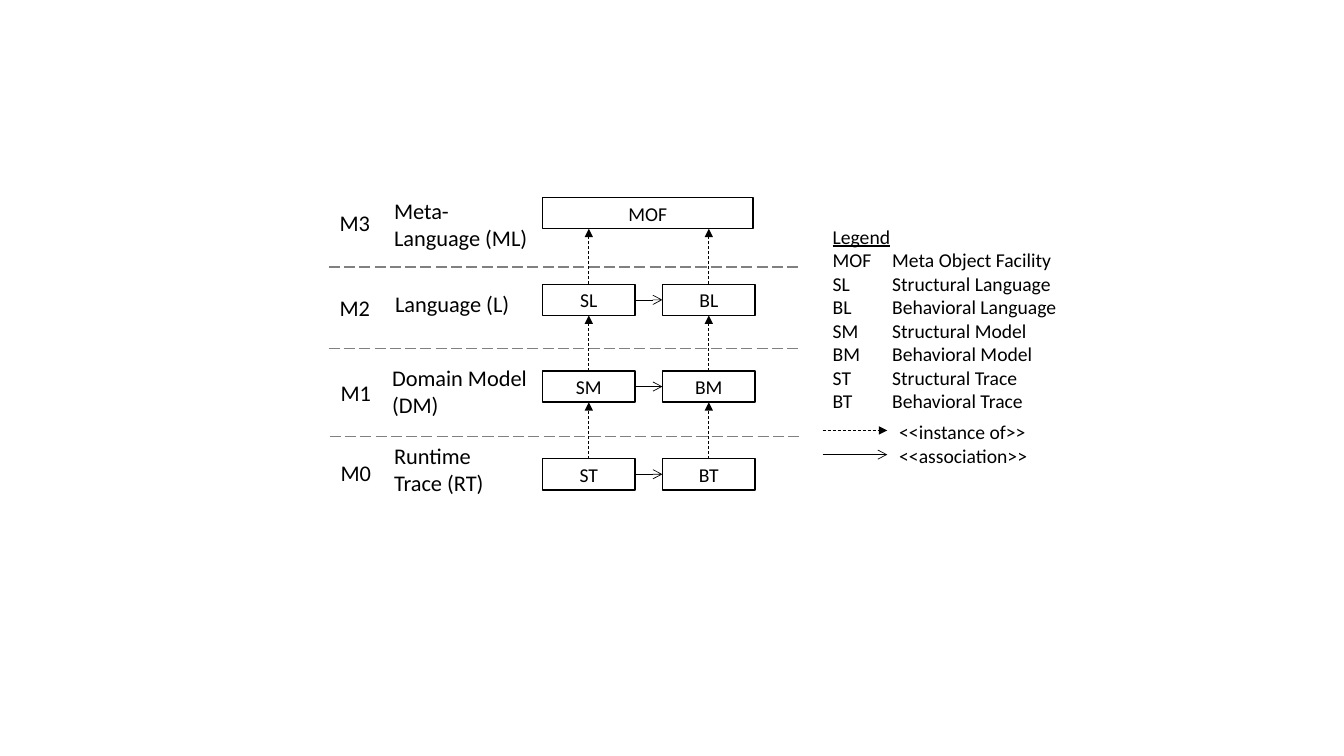
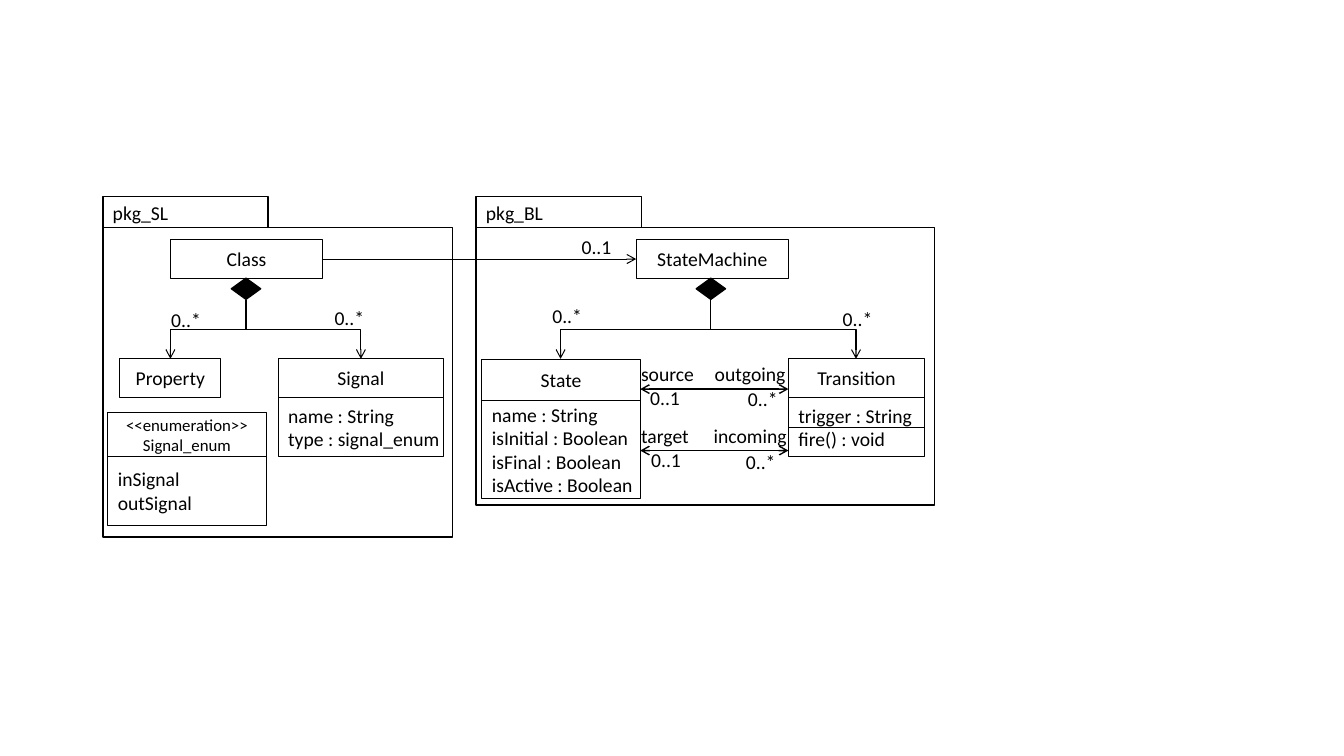
from dataclasses import dataclass
from typing import Optional

from pptx import Presentation
from pptx.dml.color import RGBColor
from pptx.enum.dml import MSO_LINE_DASH_STYLE as Dash
from pptx.enum.shapes import MSO_CONNECTOR_TYPE as Link, MSO_SHAPE as Shape
from pptx.enum.text import MSO_ANCHOR as Anchor, MSO_AUTO_SIZE as Fit, PP_ALIGN as Align
from pptx.oxml.ns import qn
from pptx.slide import Slide
from pptx.util import Inches, Pt
from lxml.etree import SubElement


@dataclass(frozen=True)
class Theme:
    font: str = "Calibri"
    ink: RGBColor = RGBColor(0, 0, 0)
    paper: RGBColor = RGBColor(255, 255, 255)
    divider: RGBColor = RGBColor(128, 128, 128)
    level_size: float = 16
    text_size: float = 14
    small_size: float = 12
    hairline: float = 0.5
    thin: float = 0.75
    regular: float = 1


THEME = Theme()


@dataclass(frozen=True)
class Box:
    lines: tuple[str, ...]
    left: float
    top: float
    width: float
    height: float
    align: Align = Align.CENTER
    size: float = THEME.text_size
    weight: float = THEME.thin
    fill: Optional[RGBColor] = None
    wrap: bool = False
    kind: Shape = Shape.RECTANGLE


@dataclass(frozen=True)
class Label:
    lines: tuple[str, ...]
    left: float
    top: float
    width: float
    height: float = 0.34
    size: float = THEME.text_size
    wrap: bool = True


@dataclass(frozen=True)
class Line:
    start: tuple[float, float]
    end: tuple[float, float]
    weight: float = THEME.hairline
    color: RGBColor = THEME.ink
    dash: Optional[Dash] = None
    head: str = ""
    tail: str = ""


@dataclass(frozen=True)
class Level:
    code: str
    code_left: float
    code_top: float
    name: Label


@dataclass(frozen=True)
class Classifier:
    title: tuple[str, ...]
    members: tuple[str, ...]
    left: float
    top: float
    width: float
    title_height: float = 0.38
    body_height: float = 0.59
    title_size: float = THEME.text_size


@dataclass(frozen=True)
class Package:
    name: str
    left: float
    width: float
    height: float


@dataclass(frozen=True)
class Composition:
    owner: str
    owner_left: float
    center: float
    member_centers: tuple[float, float]


# Drawing functions
def write_text(frame, lines: tuple[str, ...], size: float, align: Align, wrap: bool) -> None:
    frame.word_wrap = wrap
    for index, line in enumerate(lines):
        para = frame.paragraphs[0] if index == 0 else frame.add_paragraph()
        para.alignment = align
        span = para.add_run()
        span.text = line
        span.font.name = THEME.font
        span.font.size = Pt(size)
        span.font.color.rgb = THEME.ink


def draw_box(page: Slide, box: Box) -> None:
    shape = page.shapes.add_shape(box.kind, Inches(box.left), Inches(box.top),
                                  Inches(box.width), Inches(box.height))
    shape.shadow.inherit = False
    if box.fill is None:
        shape.fill.background()
    else:
        shape.fill.solid()
        shape.fill.fore_color.rgb = box.fill
    shape.line.color.rgb = THEME.ink
    shape.line.width = Pt(box.weight)
    shape.text_frame.vertical_anchor = Anchor.MIDDLE
    write_text(shape.text_frame, box.lines, box.size, box.align, box.wrap)


def draw_label(page: Slide, label: Label):
    text = page.shapes.add_textbox(Inches(label.left), Inches(label.top),
                                   Inches(label.width), Inches(label.height))
    write_text(text.text_frame, label.lines, label.size, Align.LEFT, label.wrap)
    text.text_frame.auto_size = Fit.SHAPE_TO_FIT_TEXT
    return text.text_frame


def draw_line(page: Slide, line: Line, kind: Link = Link.STRAIGHT):
    connector = page.shapes.add_connector(kind, *map(Inches, line.start + line.end))
    connector.line.color.rgb = line.color
    connector.line.width = Pt(line.weight)
    if line.dash is not None:
        connector.line.dash_style = line.dash
    properties = connector._element.spPr
    outline = properties.find(qn("a:ln"))
    for tag, arrow in (("a:headEnd", line.head), ("a:tailEnd", line.tail)):
        if arrow:
            SubElement(outline, qn(tag), type=arrow)
    SubElement(properties, qn("a:effectLst"))
    return connector


def draw_elbow(page: Slide, start: tuple[float, float], end: tuple[float, float]) -> None:
    """Draw an arrow that leaves downwards, turns halfway and arrives downwards."""
    (x1, y1), (x2, y2) = start, end
    middle_x, middle_y = (x1 + x2) / 2, (y1 + y2) / 2
    half_width, half_height = (y2 - y1) / 2, abs(x2 - x1) / 2
    side = 1 if x2 < x1 else -1
    line = Line((middle_x - side * half_width, middle_y - half_height),
                (middle_x + side * half_width, middle_y + half_height),
                THEME.thin, tail="arrow")
    connector = draw_line(page, line, Link.ELBOW)
    frame = connector._element.spPr.find(qn("a:xfrm"))
    frame.set("rot", str((90 if side > 0 else 270) * 60000))


def draw_classifier(page: Slide, item: Classifier) -> None:
    draw_box(page, Box(item.title, item.left, item.top, item.width,
                       item.title_height, size=item.title_size))
    if item.members:
        draw_box(page, Box(item.members, item.left, item.top + item.title_height,
                           item.width, item.body_height, Align.LEFT))


def draw_package(page: Slide, package: Package) -> None:
    top, tab_width, tab_height = 1.95, 1.64, 0.31
    draw_box(page, Box((package.name,), package.left, top, tab_width, tab_height,
                       Align.LEFT, weight=THEME.regular, wrap=True))
    draw_box(page, Box((), package.left, top + tab_height, package.width,
                       package.height, weight=THEME.regular))


def draw_composition(page: Slide, item: Composition) -> None:
    draw_box(page, Box((item.owner,), item.owner_left, 2.38, 1.51, 0.38))
    diamond_width = 0.29
    draw_box(page, Box((), item.center - diamond_width / 2, 2.76, diamond_width, 0.21,
                       weight=THEME.regular, fill=THEME.ink, kind=Shape.DIAMOND))
    for member_center in item.member_centers:
        draw_elbow(page, (item.center, 2.98), (member_center, 3.56))


# Slide 1: modelling levels
LEVELS = (
    Level("M3", 3.27, 2.03, Label(("Meta-", "Language (ML)"), 3.81, 1.91, 1.64, 0.64, THEME.level_size)),
    Level("M2", 3.27, 2.87, Label(("Language (L)",), 3.82, 2.83, 1.54, 0.37, THEME.level_size)),
    Level("M1", 3.28, 3.71, Label(("Domain Model", "(DM)"), 3.79, 3.56, 1.56, 0.64, THEME.level_size)),
    Level("M0", 3.28, 4.51, Label(("Runtime", "Trace (RT)"), 3.81, 4.34, 1.38, 0.64, THEME.level_size)),
)
MODEL_ROWS = ((2.82, ("SL", "BL")), (3.68, ("SM", "BM")), (4.55, ("ST", "BT")))
MODEL_COLUMNS = (5.38, 6.57)
MODEL_WIDTH, MODEL_HEIGHT = 0.92, 0.31
DIVIDERS = ((3.26, 2.65), (3.26, 3.46), (3.27, 4.33))
LEGEND = (
    "Legend", "MOF\tMeta Object Facility", "SL\tStructural Language",
    "BL\tBehavioral Language", "SM\tStructural Model", "BM\tBehavioral Model",
    "ST\tStructural Trace", "BT\tBehavioral Trace",
)
RELATIONS = (
    ("<<instance of>>", 4.27, Dash.DASH, "triangle"),
    ("<<association>>", 4.51, None, "arrow"),
)


def draw_legend(page: Slide) -> None:
    frame = draw_label(page, Label(LEGEND, 8.16, 2.18, 2.98, 2))
    frame.paragraphs[0].runs[0].font.underline = True
    for para in frame.paragraphs:
        stops = SubElement(para._p.get_or_add_pPr(), qn("a:tabLst"))
        SubElement(stops, qn("a:tab"), pos=str(Inches(0.59)), algn="l")
    for name, y, dash, arrow in RELATIONS:
        draw_line(page, Line((8.16, y), (8.8, y), dash=dash, tail=arrow))
        draw_label(page, Label((name,), 8.82, y - 0.15, 1.95, wrap=False))


def build_levels(page: Slide) -> None:
    for level in LEVELS:
        draw_label(page, level.name)
        draw_label(page, Label((level.code,), level.code_left, level.code_top,
                               0.53, 0.37, THEME.level_size))
    for left, y in DIVIDERS:
        draw_line(page, Line((left, y), (left + 4.65, y), THEME.regular,
                             THEME.divider, Dash.LONG_DASH))
    # Boxes, with each row an instance of the row above
    above = 1.96
    draw_box(page, Box(("MOF",), MODEL_COLUMNS[0], above, 2.09, MODEL_HEIGHT,
                       weight=THEME.regular, fill=THEME.paper, wrap=True))
    for top, names in MODEL_ROWS:
        for left, name in zip(MODEL_COLUMNS, names):
            draw_box(page, Box((name,), left, top, MODEL_WIDTH, MODEL_HEIGHT,
                               weight=THEME.regular, fill=THEME.paper, wrap=True))
            center = left + MODEL_WIDTH / 2
            draw_line(page, Line((center, top), (center, above + MODEL_HEIGHT),
                                 dash=Dash.DASH, tail="triangle"))
        middle = top + MODEL_HEIGHT / 2
        draw_line(page, Line((MODEL_COLUMNS[0] + MODEL_WIDTH, middle),
                             (MODEL_COLUMNS[1], middle), tail="arrow"))
        above = top
    draw_legend(page)


# Slide 2: packages and their classes
PACKAGES = (Package("pkg_SL", 1.02, 3.47, 3.07), Package("pkg_BL", 4.72, 4.55, 2.75))
COMPOSITIONS = (
    Composition("Class", 1.69, 2.44, (1.69, 3.58)),
    Composition("StateMachine", 6.31, 7.05, (5.56, 8.49)),
)
CLASSIFIERS = (
    Classifier(("Property",), (), 1.19, 3.56, 1),
    Classifier(("Signal",), ("name : String", "type : signal_enum"), 2.76, 3.56, 1.64),
    Classifier(("<<enumeration>>", "Signal_enum"), ("inSignal", "outSignal"),
               1.07, 4.09, 1.57, 0.44, 0.68, THEME.small_size),
    Classifier(("State",), ("name : String", "isInitial : Boolean", "isFinal : Boolean",
                            "isActive : Boolean"), 4.78, 3.57, 1.57, 0.4, 0.98),
    Classifier(("Transition",), ("trigger : String", "fire() : void"), 7.82, 3.56, 1.35),
)
ASSOCIATIONS = (
    Line((3.2, 2.57), (6.31, 2.57), THEME.thin, tail="arrow"),
    Line((6.35, 3.86), (7.82, 3.86), THEME.regular, head="arrow", tail="arrow"),
    Line((6.35, 4.47), (7.82, 4.47), THEME.regular, head="arrow", tail="arrow"),
    Line((7.82, 4.24), (9.17, 4.24), THEME.thin),
)
ROLES = (("source", 6.26, 3.54, 0.73), ("outgoing", 6.99, 3.54, 0.92),
         ("target", 6.26, 4.16, 0.69), ("incoming", 6.98, 4.16, 0.95))
MULTIPLICITIES = {
    "0..1": ((5.67, 2.28), (6.35, 3.78), (6.36, 4.39)),
    "0..*": ((1.6, 3.01), (3.22, 2.99), (5.38, 2.97), (8.26, 3), (7.32, 3.79), (7.3, 4.41)),
}


def build_packages(page: Slide) -> None:
    for package in PACKAGES:
        draw_package(page, package)
    for composition in COMPOSITIONS:
        draw_composition(page, composition)
    for classifier in CLASSIFIERS:
        draw_classifier(page, classifier)
    for association in ASSOCIATIONS:
        draw_line(page, association)
    for name, left, top, width in ROLES:
        draw_label(page, Label((name,), left, top, width, wrap=False))
    for count, places in MULTIPLICITIES.items():
        for left, top in places:
            draw_label(page, Label((count,), left, top, 0.63))


# Deck
deck = Presentation()
deck.slide_width, deck.slide_height = Inches(13.33), Inches(7.5)
for build in (build_levels, build_packages):
    build(deck.slides.add_slide(deck.slide_layouts[6]))
deck.save("out.pptx")
